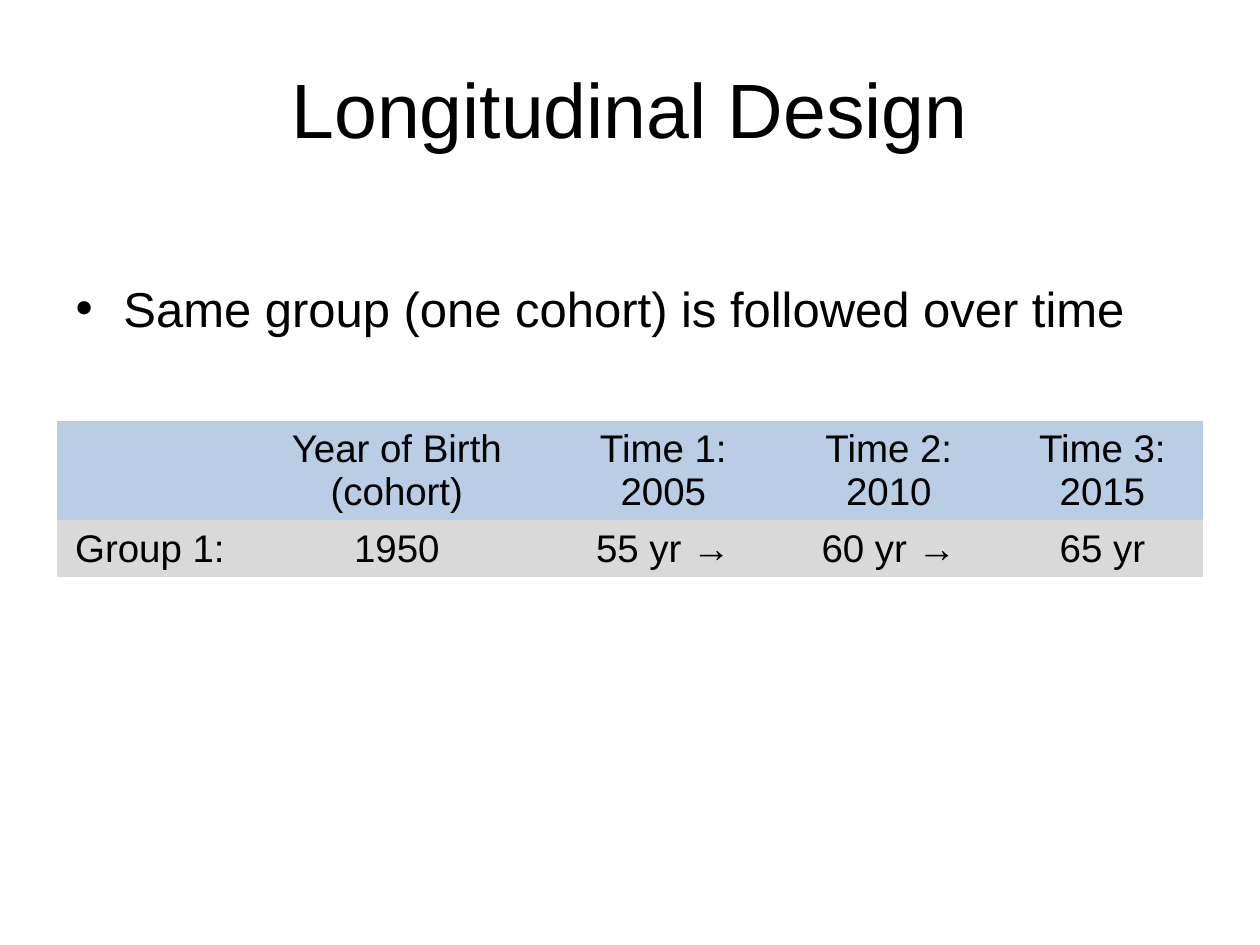
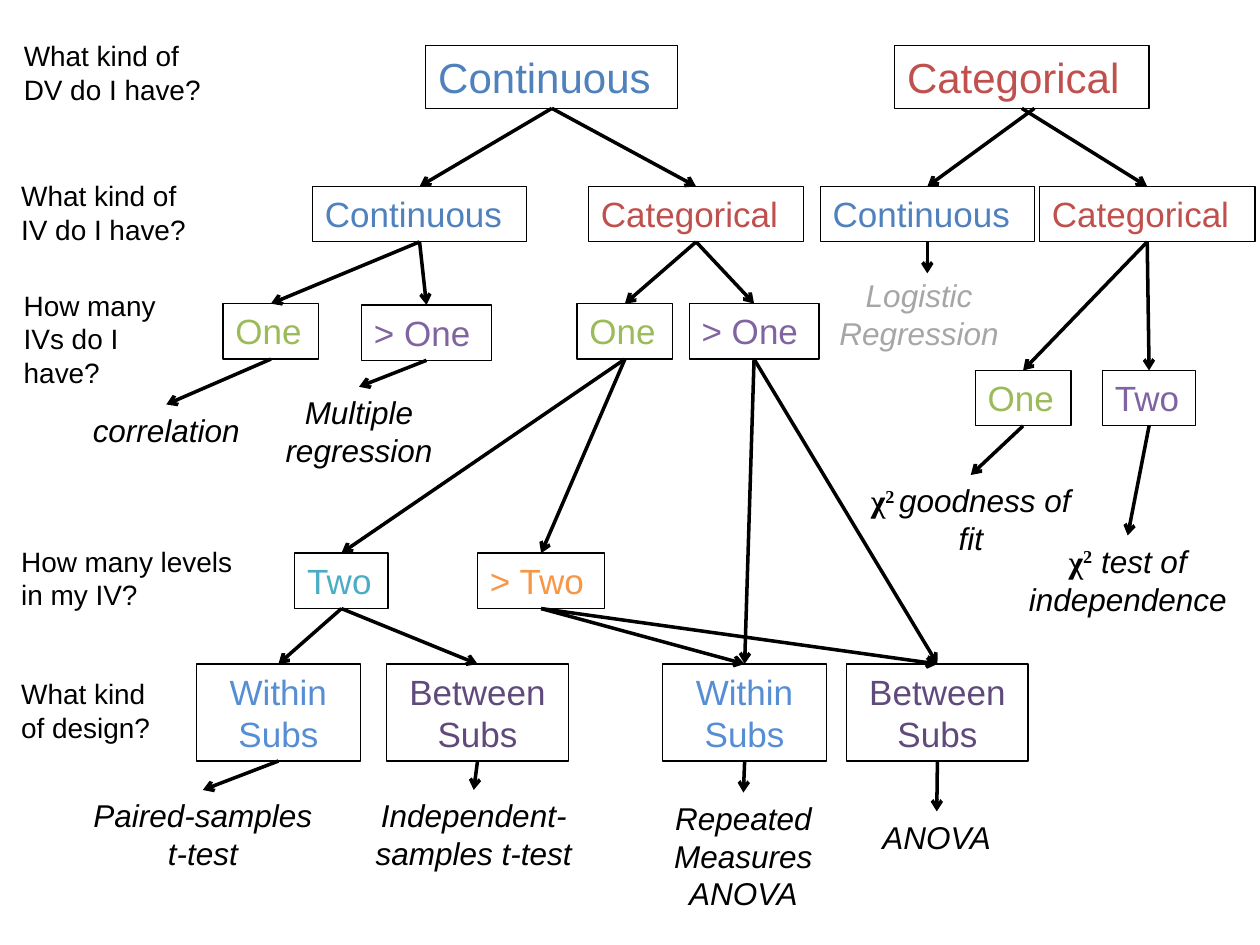
from dataclasses import dataclass

from lxml import etree
from pptx import Presentation
from pptx.dml.color import RGBColor
from pptx.enum.shapes import MSO_CONNECTOR as Line, MSO_SHAPE as Shape
from pptx.enum.text import MSO_ANCHOR as Anchor, MSO_AUTO_SIZE as AutoSize, PP_ALIGN as Align
from pptx.oxml.ns import qn
from pptx.util import Inches, Pt

# Shared style
FONT = "Arial"
SYMBOL_FONT = "Times New Roman"
BLACK, GREY = "000000", "A6A6A6"
BLUE, RED, GREEN, PURPLE = "4F81BD", "C0504D", "9BBB59", "8064A2"
TEAL, ORANGE, SKY, PLUM = "4BACC6", "F79646", "558ED5", "604A7B"
HEADER_FILL, ROW_FILL = "B9CDE5", "D9D9D9"
NO_TABLE_STYLE = "{2D5ABB26-0587-4C30-8999-92F81FD0307C}"

TABLE_COLS = [1.48, 2.44, 1.79, 1.79, 1.6]
TABLE_ROWS = [0.79, 0.45]
TABLE_FILLS = [HEADER_FILL, ROW_FILL]
TABLE_TEXT = [
    ["", "Year of Birth (cohort)", "Time 1: 2005", "Time 2: 2010", "Time 3: 2015"],
    ["Group 1:", "1950", "55 yr →", "60 yr →", "65 yr"],
]


@dataclass
class Question:
    text: str
    x: float
    y: float
    w: float


@dataclass
class Choice:
    text: str
    color: str
    x: float
    y: float
    w: float
    h: float = 0.44
    size: int = 20
    align: Align = Align.LEFT


@dataclass
class Test:
    text: str
    x: float
    y: float
    w: float
    h: float = 0.71
    color: str = BLACK
    chi_power: str = ""


@dataclass
class Arrow:
    start: str
    end: str
    start_x: float | None = None
    end_at: tuple[float, float] | None = None


QUESTIONS = [
    Question("What kind of DV do I have?", 0.09, 0.26, 1.68),
    Question("What kind of IV do I have?", 0.07, 1.37, 1.57),
    Question("How many IVs do I have?", 0.09, 2.24, 1.57),
    Question("How many levels in my IV?", 0.07, 4.27, 1.94),
    Question("What kind of design?", 0.07, 5.32, 1.34),
]

DV_Y, IV_Y, COUNT_Y, CHI_COUNT_Y, LEVEL_Y, DESIGN_Y = 0.36, 1.48, 2.41, 2.94, 4.39, 5.27


def design(text: str, color: str, x: float, w: float) -> Choice:
    return Choice(text, color, x, DESIGN_Y, w, 0.77, align=Align.CENTER)


CHOICES = {
    "dv_cont": Choice("Continuous", BLUE, 3.38, DV_Y, 2, 0.5, 24),
    "dv_cat": Choice("Categorical", RED, 7.1, DV_Y, 2.02, 0.5, 24),
    "iv_cont": Choice("Continuous", BLUE, 2.48, IV_Y, 1.7),
    "iv_cat": Choice("Categorical", RED, 4.67, IV_Y, 1.71),
    "cat_iv_cont": Choice("Continuous", BLUE, 6.51, IV_Y, 1.7),
    "cat_iv_cat": Choice("Categorical", RED, 8.25, IV_Y, 1.71),
    "cont_one": Choice("One", GREEN, 1.77, COUNT_Y, 0.76),
    "cont_more": Choice("> One", PURPLE, 2.87, 2.42, 1.03),
    "cat_one": Choice("One", GREEN, 4.58, COUNT_Y, 0.76),
    "cat_more": Choice("> One", PURPLE, 5.47, COUNT_Y, 1.03),
    "chi_one": Choice("One", GREEN, 7.74, CHI_COUNT_Y, 0.76),
    "chi_two": Choice("Two", PURPLE, 8.75, CHI_COUNT_Y, 0.74),
    "level_two": Choice("Two", TEAL, 2.34, LEVEL_Y, 0.74),
    "level_more": Choice("> Two", ORANGE, 3.79, LEVEL_Y, 1.01),
    "t_within": design("Within Subs", SKY, 1.56, 1.3),
    "t_between": design("Between Subs", PLUM, 3.07, 1.44),
    "f_within": design("Within Subs", SKY, 5.26, 1.3),
    "f_between": design("Between Subs", PLUM, 6.72, 1.44),
}

TESTS = {
    "logistic": Test("Logistic Regression", 6.51, 2.14, 1.57, color=GREY),
    "correlation": Test("correlation", 0.51, 3.21, 1.62, 0.4),
    "regression": Test("Multiple regression", 2.07, 3.07, 1.56),
    "goodness": Test("goodness of fit", 6.8, 3.77, 1.81, chi_power="2 "),
    "independence": Test(" test of independence", 7.89, 4.25, 2.12, chi_power="2"),
    "paired": Test("Paired-samples t-test", 0.59, 6.27, 2.04),
    "independent": Test("Independent-samples t-test", 2.74, 6.27, 2.04),
    "repeated": Test("Repeated Measures ANOVA", 5, 6.29, 1.8, 1.01),
    "anova": Test("ANOVA", 6.6, 6.44, 1.67, 0.4),
}

ARROWS = [
    Arrow("dv_cont", "iv_cont"),
    Arrow("dv_cont", "iv_cat"),
    Arrow("dv_cat", "cat_iv_cont", start_x=8.21),
    Arrow("dv_cat", "cat_iv_cat"),
    Arrow("iv_cont", "cont_one"),
    Arrow("iv_cont", "cont_more"),
    Arrow("iv_cat", "cat_one"),
    Arrow("iv_cat", "cat_more"),
    Arrow("cat_iv_cont", "logistic", end_at=(7.36, 2.17)),
    Arrow("cat_iv_cat", "chi_one"),
    Arrow("cat_iv_cat", "chi_two"),
    Arrow("cont_one", "correlation"),
    Arrow("cont_more", "regression"),
    Arrow("chi_one", "goodness"),
    Arrow("chi_two", "independence"),
    Arrow("cat_one", "level_two"),
    Arrow("cat_one", "level_more"),
    Arrow("cat_more", "f_within"),
    Arrow("cat_more", "f_between"),
    Arrow("level_two", "t_within"),
    Arrow("level_two", "t_between"),
    Arrow("level_more", "f_within"),
    Arrow("level_more", "f_between"),
    Arrow("t_within", "paired"),
    Arrow("t_between", "independent"),
    Arrow("f_within", "repeated"),
    Arrow("f_between", "anova"),
]


# Helpers
def rgb(color: str) -> RGBColor:
    return RGBColor.from_string(color)


def add_text(p, text: str, *, size: int, color: str = BLACK, font: str = FONT,
             bold: bool = False, italic: bool = False, raised: bool = False,
             align: Align | None = None) -> None:
    if align is not None:
        p.alignment = align
    r = p.add_run()
    r.text = text
    r.font.name = font
    r.font.size = Pt(size)
    r.font.bold = bold
    r.font.italic = italic
    r.font.color.rgb = rgb(color)
    if raised:
        r.font._element.set("baseline", "30000")


def place(s, x: float, y: float, w: float, h: float) -> None:
    s.left, s.top, s.width, s.height = map(Inches, (x, y, w, h))


def prepare_frame(s):
    tf = s.text_frame
    tf.word_wrap = True
    tf.auto_size = AutoSize.NONE
    tf.vertical_anchor = Anchor.TOP
    return tf.paragraphs[0]


def add_box(slide, x: float, y: float, w: float, h: float):
    return slide.shapes.add_textbox(*map(Inches, (x, y, w, h)))


# Decision tree parts
def draw_question(slide, q: Question) -> None:
    s = add_box(slide, q.x, q.y, q.w, 0.64)
    add_text(prepare_frame(s), q.text, size=16)


def draw_choice(slide, c: Choice):
    s = slide.shapes.add_shape(Shape.RECTANGLE, *map(Inches, (c.x, c.y, c.w, c.h)))
    s.shadow.inherit = False
    s.fill.background()
    s.line.color.rgb = rgb(BLACK)
    s.line.width = Pt(0.75)
    add_text(prepare_frame(s), c.text, size=c.size, color=c.color, align=c.align)
    return s


def draw_test(slide, t: Test):
    s = add_box(slide, t.x, t.y, t.w, t.h)
    p = prepare_frame(s)
    if t.chi_power:
        add_text(p, "χ", size=18, font=SYMBOL_FONT, bold=True)
        add_text(p, t.chi_power, size=18, font=SYMBOL_FONT, bold=True, raised=True)
    add_text(p, t.text, size=18, color=t.color, italic=True, align=Align.CENTER)
    return s


def draw_arrow(slide, arrow: Arrow, nodes: dict) -> None:
    start, end = nodes[arrow.start], nodes[arrow.end]
    x1, y1 = start.left + start.width // 2, start.top + start.height
    x2, y2 = end.left + end.width // 2, end.top
    if arrow.start_x is not None:
        x1 = Inches(arrow.start_x)
    if arrow.end_at is not None:
        x2, y2 = map(Inches, arrow.end_at)
    s = slide.shapes.add_connector(Line.STRAIGHT, x1, y1, x2, y2)
    if arrow.start_x is None:
        s.begin_connect(start, 2)
    if arrow.end_at is None:
        s.end_connect(end, 0)
    s.line.color.rgb = rgb(BLACK)
    s.line.width = Pt(2)
    etree.SubElement(s.line._get_or_add_ln(), qn("a:tailEnd"), type="arrow")
    etree.SubElement(s._element.spPr, qn("a:effectLst"))


# Slides
def build_longitudinal(prs) -> None:
    slide = prs.slides.add_slide(prs.slide_layouts[1])
    title, body = slide.placeholders[0], slide.placeholders[1]

    place(title, 0.5, 0.23, 9, 1.25)
    p = prepare_frame(title)
    title.text_frame.vertical_anchor = Anchor.MIDDLE
    add_text(p, "Longitudinal Design", size=44, align=Align.CENTER)

    place(body, 0.5, 2.16, 9, 4.95)
    p = prepare_frame(body)
    p.space_before = Pt(0)
    pPr = p._p.get_or_add_pPr()
    pPr.set("marL", str(Inches(0.38)))
    pPr.set("indent", str(-Inches(0.38)))
    etree.SubElement(pPr, qn("a:buFont"), typeface=FONT)
    etree.SubElement(pPr, qn("a:buChar"), char="•")
    add_text(p, "Same group (one cohort) is followed over time", size=28)

    # Cohort table
    frame = slide.shapes.add_table(
        len(TABLE_ROWS), len(TABLE_COLS), Inches(0.45), Inches(3.34),
        Inches(sum(TABLE_COLS)), Inches(sum(TABLE_ROWS)))
    table = frame.table
    table._tbl.tblPr.find(qn("a:tableStyleId")).text = NO_TABLE_STYLE
    table.first_row = table.horz_banding = False
    for column, width in zip(table.columns, TABLE_COLS):
        column.width = Inches(width)
    for row, height, fill, texts in zip(table.rows, TABLE_ROWS, TABLE_FILLS, TABLE_TEXT):
        row.height = Inches(height)
        for cell, text in zip(row.cells, texts):
            cell.fill.solid()
            cell.fill.fore_color.rgb = rgb(fill)
            cell.vertical_anchor = Anchor.MIDDLE
            if text:
                add_text(cell.text_frame.paragraphs[0], text, size=22, align=Align.CENTER)


def build_decision_tree(prs) -> None:
    slide = prs.slides.add_slide(prs.slide_layouts[6])
    for question in QUESTIONS:
        draw_question(slide, question)
    nodes = {key: draw_choice(slide, choice) for key, choice in CHOICES.items()}
    nodes |= {key: draw_test(slide, test) for key, test in TESTS.items()}
    for arrow in ARROWS:
        draw_arrow(slide, arrow, nodes)


def main() -> None:
    prs = Presentation()
    prs.slide_width, prs.slide_height = Inches(10), Inches(7.5)
    build_longitudinal(prs)
    build_decision_tree(prs)
    prs.save("out.pptx")


if __name__ == "__main__":
    main()
